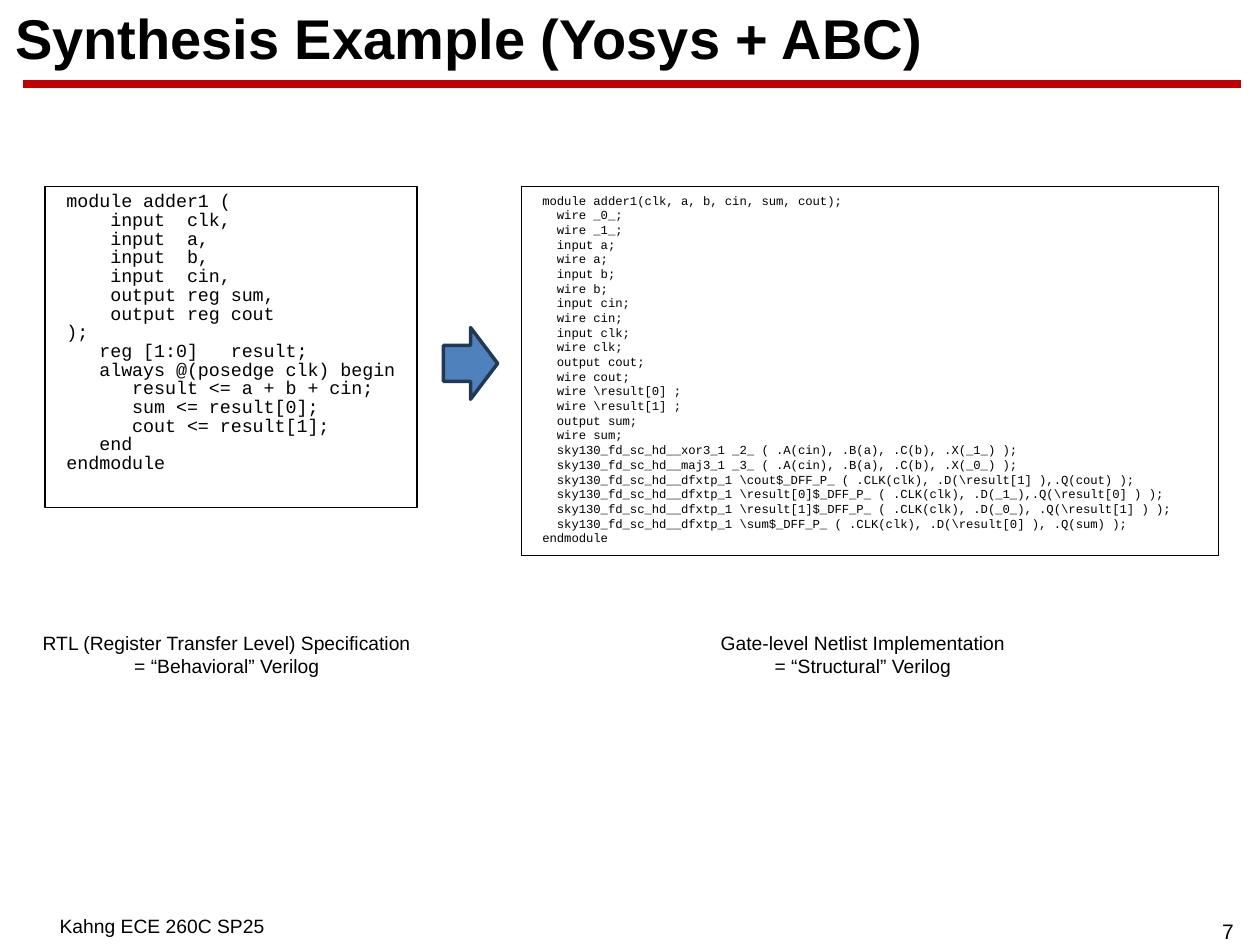
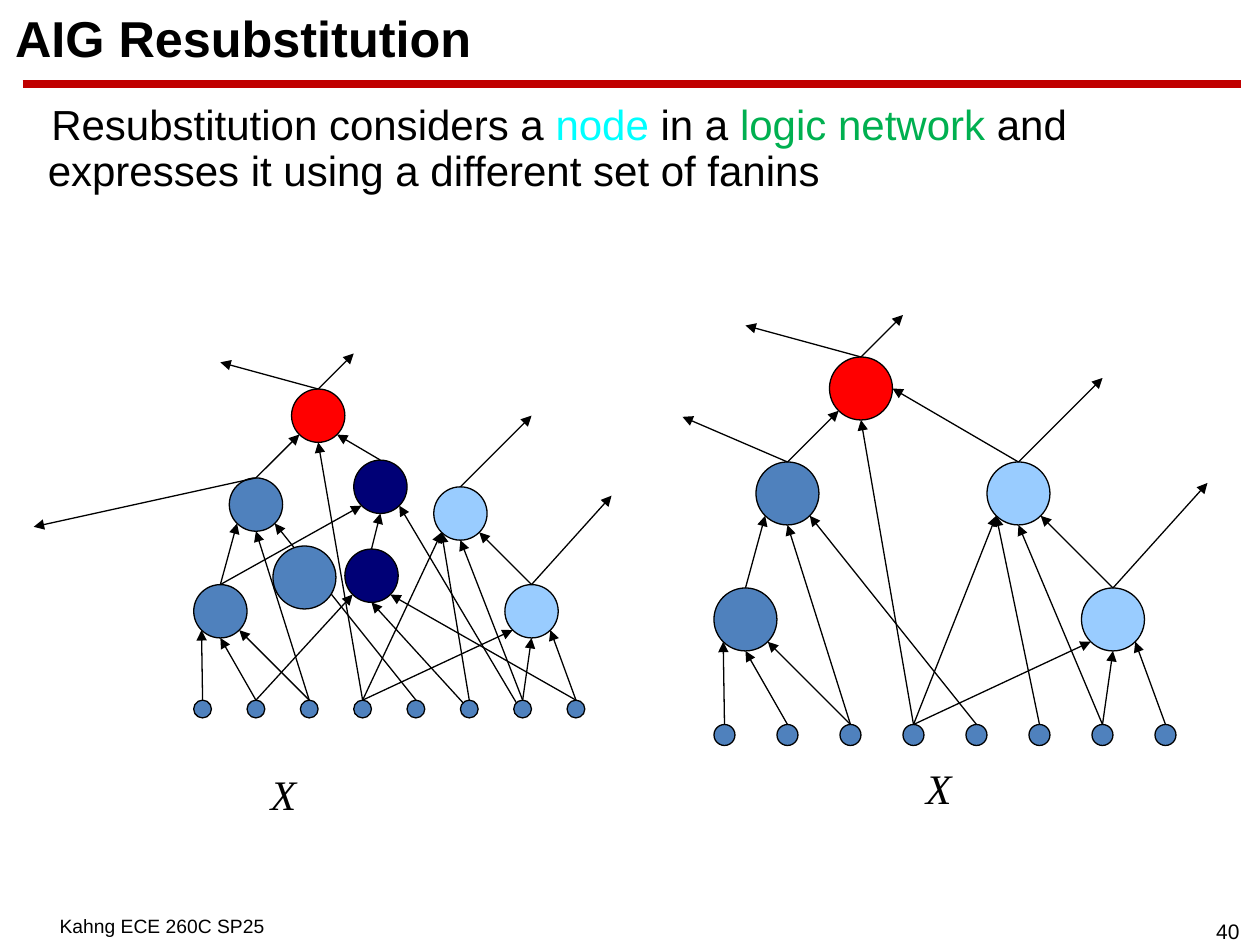
import math

import pptx
import pptx.dml.color
import pptx.enum.shapes
import pptx.enum.text
import pptx.oxml.ns
import pptx.util
from lxml import etree

Pt = pptx.util.Pt
SHAPE = pptx.enum.shapes.MSO_SHAPE
ALIGN = pptx.enum.text.PP_ALIGN
ANCHOR = pptx.enum.text.MSO_ANCHOR
qn = pptx.oxml.ns.qn

COLORS = {
    "black": "000000", "title": "254061", "rule": "C00000", "blue": "4F81BD",
    "outline": "233953", "red": "FF0000", "navy": "000076", "sky": "99CCFF",
    "cyan": "00FFFF", "green": "00B050",
}
SANS, MONO, SERIF = "Arial", "Courier New", "Times New Roman"
FOOTER = "Kahng ECE 260C SP25"

RTL = r"""module adder1 (
    input  clk,
    input  a,
    input  b,
    input  cin,
    output reg sum,
    output reg cout
);
   reg [1:0]   result;
   always @(posedge clk) begin
      result <= a + b + cin;
      sum <= result[0];
      cout <= result[1];
   end
endmodule"""

NETLIST = r"""module adder1(clk, a, b, cin, sum, cout);
  wire _0_;
  wire _1_;
  input a;
  wire a;
  input b;
  wire b;
  input cin;
  wire cin;
  input clk;
  wire clk;
  output cout;
  wire cout;
  wire \result[0] ;
  wire \result[1] ;
  output sum;
  wire sum;
  sky130_fd_sc_hd__xor3_1 _2_ ( .A(cin), .B(a), .C(b), .X(_1_) );
  sky130_fd_sc_hd__maj3_1 _3_ ( .A(cin), .B(a), .C(b), .X(_0_) );
  sky130_fd_sc_hd__dfxtp_1 \cout$_DFF_P_ ( .CLK(clk), .D(\result[1] ),.Q(cout) );
  sky130_fd_sc_hd__dfxtp_1 \result[0]$_DFF_P_ ( .CLK(clk), .D(_1_),.Q(\result[0] ) );
  sky130_fd_sc_hd__dfxtp_1 \result[1]$_DFF_P_ ( .CLK(clk), .D(_0_), .Q(\result[1] ) );
  sky130_fd_sc_hd__dfxtp_1 \sum$_DFF_P_ ( .CLK(clk), .D(\result[0] ), .Q(sum) );
endmodule"""

NODE_SIZE, LEAF_SIZE, LEAF_STEP, LEAF_COUNT = 6, 2, 6, 8
PORT_ANGLES = {"e": 0, "se": 45, "s": 90, "sw": 135, "nw": 225, "n": 270}
SHARED_NODES = {
    "R": (11, -35, "red"), "A": (0, -13, "blue"), "B": (4, -25, "blue"),
    "E": (35, -13, "sky"),
}
BEFORE_NODES = {"D": (27, -24, "sky"), "N1": (18, -27, "navy"), "N2": (17, -17, "navy")}
AFTER_NODES = {"D": (26, -25, "sky")}
SHARED_EDGES = (
    "0.n>A.sw 1.n>A.s 2.n>A.se 4.n>B.se 2.n>B.s 3.n>E.sw 3.n>R.s 6.n>D.s 6.n>E.s "
    "7.n>E.se A.n>B.sw B.n>R.sw 5.n>D.sw E.n>D.se 3.n>D.sw"
).split()
BEFORE_EDGES = (
    "1.n>N2.sw 7.n>N2.se 5.nw>N2.s N2.n>N1.s 6.nw>N1.se A.n>N1.sw N1.n>R.se"
).split()
AFTER_EDGES = ["D.n>R.e"]
SHARED_OUTPUTS = [("R", 4, -4), ("R", -11, -3), ("D", 8, -8), ("E", 9, -10)]


def rgb(name):
    return pptx.dml.color.RGBColor.from_string(COLORS[name])


def lines(text):
    return [[(line, "black")] for line in text.splitlines()]


def write(tf, paragraphs, size, font=SANS, bold=False, italic=False,
          align=ALIGN.LEFT, anchor=ANCHOR.TOP, spacing=1.0, before=0,
          margin=0, indent=0, wrap=True):
    tf.word_wrap = wrap
    tf.auto_size = pptx.enum.text.MSO_AUTO_SIZE.NONE
    tf.vertical_anchor = anchor
    tf.margin_left = tf.margin_right = Pt(7.2)
    tf.margin_top = tf.margin_bottom = Pt(3.6)
    for i, runs in enumerate(paragraphs):
        p = tf.add_paragraph() if i else tf.paragraphs[0]
        p.alignment = align
        p.line_spacing = spacing
        p.space_before = Pt(before)
        pPr = p._p.get_or_add_pPr()
        pPr.set("marL", str(Pt(margin)))
        pPr.set("indent", str(Pt(indent)))
        etree.SubElement(pPr, qn("a:buNone"))
        for text, color in runs:
            r = p.add_run()
            r.text = text
            r.font.name = font
            r.font.size = Pt(size)
            r.font.bold = bold
            r.font.italic = italic
            r.font.color.rgb = rgb(color)


def place(sp, x, y, w, h):
    sp.left, sp.top, sp.width, sp.height = Pt(x), Pt(y), Pt(w), Pt(h)


def add_text(slide, box, paragraphs, size, **style):
    sp = slide.shapes.add_textbox(*map(Pt, box))
    write(sp.text_frame, paragraphs, size, **style)


def outline(sp, color="black", width=0.75):
    sp.line.color.rgb = rgb(color)
    sp.line.width = Pt(width)


def add_shape(shapes, kind, box, fill=None, line="black", width=0.75):
    sp = shapes.add_shape(kind, *map(Pt, box))
    sp.shadow.inherit = False
    if fill:
        sp.fill.solid()
        sp.fill.fore_color.rgb = rgb(fill)
    else:
        sp.fill.background()
    outline(sp, line, width)
    return sp


def add_line(shapes, start, end, color="black", width=0.75, arrow=False):
    straight = pptx.enum.shapes.MSO_CONNECTOR.STRAIGHT
    cxn = shapes.add_connector(straight, *map(Pt, (*start, *end)))
    outline(cxn, color, width)
    if arrow:
        etree.SubElement(cxn.line._get_or_add_ln(), qn("a:tailEnd"), type="triangle")
    etree.SubElement(cxn._element.spPr, qn("a:effectLst"))


def add_slide(prs, layout, title, title_size, number):
    slide = prs.slides.add_slide(prs.slide_layouts[layout])
    place(slide.shapes.title, 1.4, 5.8, 715, 35.3)
    write(slide.shapes.title.text_frame, lines(title), title_size, bold=True,
          anchor=ANCHOR.MIDDLE, spacing=0.9)
    add_line(slide.shapes, (13, 48), (709.2, 48), "rule", 4.5)
    add_text(slide, (684, 521.3, 35.3, 21.6), lines(number), 12, align=ALIGN.CENTER)
    add_text(slide, (27, 519.1, 134.6, 19.4), lines(FOOTER), 11)
    return slide


def add_graph(slide, left, leaf_top, unit, nodes, edges, outputs):
    shapes = slide.shapes.add_group_shape().shapes
    circles = {}

    def add_circle(name, x, y, size, fill):
        d = size * unit
        circles[name] = (left + x * unit, leaf_top + y * unit, d)
        add_shape(shapes, SHAPE.OVAL, (*circles[name], d), fill)

    def port(label):
        name, side = label.split(".")
        x, y, d = circles[name]
        angle = math.radians(PORT_ANGLES[side])
        return x + d / 2 * (1 + math.cos(angle)), y + d / 2 * (1 + math.sin(angle))

    for name, (x, y, fill) in nodes.items():
        add_circle(name, x, y, NODE_SIZE, fill)
    for i in range(LEAF_COUNT):
        add_circle(str(i), i * LEAF_STEP, 0, LEAF_SIZE, "blue")
    for edge in edges:
        start, end = edge.split(">")
        add_line(shapes, port(start), port(end), arrow=True)
    for name, dx, dy in outputs:
        x, y = port(name + ".n")
        add_line(shapes, (x, y), (x + dx * unit, y + dy * unit), arrow=True)


def build_synthesis(prs):
    slide = add_slide(prs, 1, "Synthesis Example (Yosys + ABC)", 32, "7")
    body = slide.placeholders[1]
    place(body, 25.8, 106.6, 212.6, 183.4)
    outline(body)
    write(body.text_frame, lines(RTL), 10.5, MONO, spacing=0.85, margin=5)
    netlist = add_shape(slide.shapes, SHAPE.RECTANGLE, (297.8, 106.6, 398.4, 210.8))
    write(netlist.text_frame, lines(NETLIST), 7, MONO, margin=5)
    add_shape(slide.shapes, SHAPE.RIGHT_ARROW, (253.4, 187.2, 31, 41),
              "blue", "outline", 2)
    captions = [
        (4.3, 250.6, "RTL (Register Transfer Level) Specification\n= “Behavioral” Verilog"),
        (383, 220.3, "Gate-level Netlist Implementation\n= “Structural” Verilog"),
    ]
    for x, w, text in captions:
        add_text(slide, (x, 357.1, w, 33.8), lines(text), 11, align=ALIGN.CENTER)


def build_resubstitution(prs):
    slide = add_slide(prs, 1, "AIG Resubstitution", 28.8, "40")
    body = slide.placeholders[1]
    place(body, 1.4, 56.2, 707.8, 447.8)
    sentence = [
        ("Resubstitution considers a ", "black"), ("node", "cyan"),
        (" in a ", "black"), ("logic network ", "green"),
        ("and expresses it using a different set of fanins", "black"),
    ]
    write(body.text_frame, [sentence], 24, spacing=0.9, before=8.4,
          margin=18.7, indent=2)
    add_graph(slide, 110.7, 400.1, 5.08, SHARED_NODES | BEFORE_NODES,
              SHARED_EDGES + BEFORE_EDGES, SHARED_OUTPUTS + [("B", -25, 5.5)])
    add_graph(slide, 408, 414, 6, SHARED_NODES | AFTER_NODES,
              SHARED_EDGES + AFTER_EDGES, SHARED_OUTPUTS + [("B", -10, -4.3)])
    for x, y in ((147.6, 435.6), (522, 432)):
        add_text(slide, (x, y, 28.8, 36), lines("X"), 24, font=SERIF, italic=True,
                 align=ALIGN.CENTER, wrap=False)
    add_shape(slide.shapes, SHAPE.OVAL, (156, 312, 36, 36), "blue")


def main():
    prs = pptx.Presentation()
    prs.slide_width, prs.slide_height = Pt(720), Pt(540)
    build_synthesis(prs)
    build_resubstitution(prs)
    prs.save("out.pptx")


if __name__ == "__main__":
    main()
